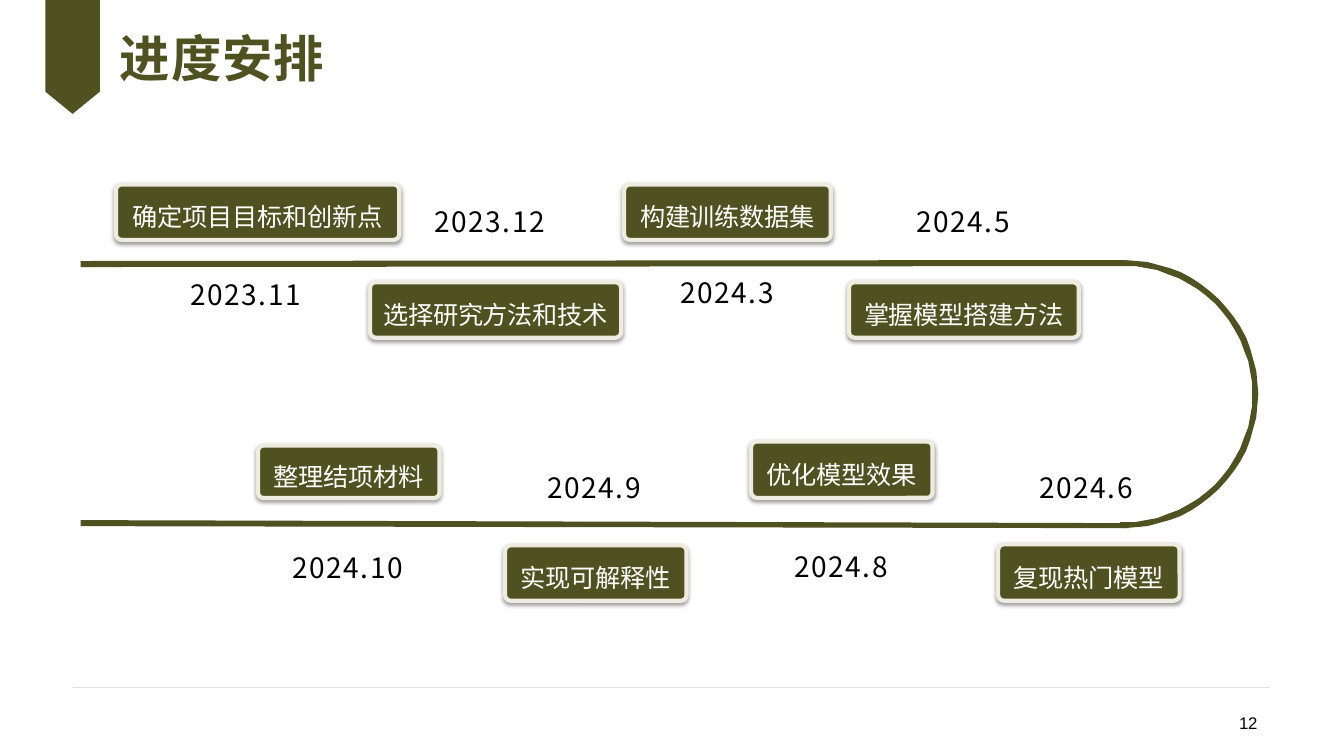
import math

import lxml.etree
import pptx
import pptx.dml.color
import pptx.enum.shapes
import pptx.enum.text
import pptx.oxml.ns
import pptx.util

RGBColor = pptx.dml.color.RGBColor
ALIGN = pptx.enum.text.PP_ALIGN
ANCHOR = pptx.enum.text.MSO_ANCHOR
qn = pptx.oxml.ns.qn

OLIVE = RGBColor(0x50, 0x51, 0x21)
CREAM = RGBColor(0xEE, 0xEC, 0xE1)
WHITE = RGBColor(0xFF, 0xFF, 0xFF)
BLACK = RGBColor(0x00, 0x00, 0x00)
RULE_GREY = RGBColor(0xE0, 0xE0, 0xE0)
CJK = "Noto Sans CJK SC"
PX = 9144  # 100 px to the inch

# Content: date, (left, top, width); task, (left, top, width, height)
TITLE = "进度安排"
PAGE = "12"
MILESTONES = [
    ("2023.11", (188, 273, 125), "确定项目目标和创新点", (115, 183, 281, 55)),
    ("2023.12", (430, 201, 117), "选择研究方法和技术", (367, 280, 249, 55)),
    ("2024.3", (674, 271, 97), "构建训练数据集", (619, 183, 205, 55)),
    ("2024.5", (908, 201, 97), "掌握模型搭建方法", (842, 280, 228, 55)),
    ("2024.6", (1030, 465, 97), "复现热门模型", (990, 540, 180, 56)),
    ("2024.8", (787, 543, 97), "优化模型效果", (745, 438, 180, 56)),
    ("2024.9", (542, 465, 97), "实现可解释性", (501, 541, 180, 55)),
    ("2024.10", (289, 544, 116), "整理结项材料", (256, 442, 180, 52)),
]
DATE_HEIGHT = 35
BADGE = [(72, 113), (45, 91), (45, 0), (99, 0), (99, 91)]
LOWER_TRACK = [(1120, 524), (80, 522), (80, 516), (1120, 519)]
BEND_CENTER, BEND_OUTER, BEND_INNER = (1115, 391), 133, 127


def emu(*lengths):
    return [round(v * PX) for v in lengths]


def write(tf, text, size, color, spacing, name=CJK, bold=False, align=ALIGN.LEFT):
    p = tf.paragraphs[0]
    p.text = text
    p.alignment = align
    p.space_before = pptx.util.Pt(0)
    f = p.font
    f.size, f.bold, f.name = pptx.util.Pt(size), bold, name
    f.color.rgb = color
    # Letter spacing and East Asian typeface
    props = p._p.get_or_add_pPr().find(qn("a:defRPr"))
    props.set("spc", str(spacing))
    lxml.etree.SubElement(props, qn("a:ea"), typeface=name)
    return p


def fit_frame(tf, top=2, left=1):
    tf.word_wrap = True
    tf.auto_size = pptx.enum.text.MSO_AUTO_SIZE.SHAPE_TO_FIT_TEXT
    tf.vertical_anchor = ANCHOR.TOP
    tf.margin_left, tf.margin_top, tf.margin_right, tf.margin_bottom = emu(left, top, 0, 0)


def add_label(slide, box, text, size, spacing, name=CJK, top=2, left=1):
    tf = slide.shapes.add_textbox(*emu(*box)).text_frame
    fit_frame(tf, top, left)
    write(tf, text, size, BLACK, spacing, name)


def add_outline(slide, points):
    fb = slide.shapes.build_freeform(*points[0], scale=PX)
    fb.add_line_segments(points[1:], close=True)
    sp = fb.convert_to_shape()
    sp.shadow.inherit = False
    sp.fill.solid()
    sp.fill.fore_color.rgb = OLIVE
    sp.line.fill.background()


def bend(radius):
    cx, cy = BEND_CENTER
    angles = [math.radians(a) for a in range(-90, 91, 5)]
    return [(cx + radius * math.cos(a), cy + radius * math.sin(a)) for a in angles]


def add_task(slide, text, box):
    sp = slide.shapes.add_shape(pptx.enum.shapes.MSO_SHAPE.ROUNDED_RECTANGLE, *emu(*box))
    sp.adjustments[0] = 0.1
    sp.fill.solid()
    sp.fill.fore_color.rgb = OLIVE
    sp.line.color.rgb = CREAM
    sp.line.width = pptx.util.Pt(3)
    # Soft shadow straight below
    sp.shadow.inherit = False
    effects = sp._element.spPr.find(qn("a:effectLst"))
    shadow = lxml.etree.SubElement(
        effects, qn("a:outerShdw"), blurRad=str(pptx.util.Pt(3.1)),
        dist=str(pptx.util.Pt(1.6)), dir="5400000", rotWithShape="0")
    color = lxml.etree.SubElement(shadow, qn("a:srgbClr"), val="000000")
    lxml.etree.SubElement(color, qn("a:alpha"), val="38000")
    tf = sp.text_frame
    tf.word_wrap = True
    tf.vertical_anchor = ANCHOR.MIDDLE
    p = write(tf, text, 18, WHITE, -20, align=ALIGN.CENTER)
    p.line_spacing = 1.3


def main():
    prs = pptx.Presentation()
    prs.slide_width, prs.slide_height = emu(1333, 750)
    slide = prs.slides.add_slide(prs.slide_layouts[5])

    # Title and badge
    title = slide.shapes.title
    title.left, title.top, title.width, title.height = emu(118, 25, 766, 63)
    fit_frame(title.text_frame)
    write(title.text_frame, TITLE, 36, OLIVE, 50, bold=True)
    add_outline(slide, BADGE)

    # Footer rule and page number
    rule = slide.shapes.add_connector(
        pptx.enum.shapes.MSO_CONNECTOR.STRAIGHT, *emu(72, 682, 1260, 682))
    rule.line.color.rgb = RULE_GREY
    rule.line.width = pptx.util.Pt(0.75)
    lxml.etree.SubElement(rule._element.spPr, qn("a:effectLst"))
    add_label(slide, (1222, 702, 31, 25), PAGE, 12, -20, "Arial", top=5, left=7)

    # Timeline track: lower straight, then upper straight with the bend
    add_outline(slide, LOWER_TRACK)
    add_outline(slide, [(80, 265), (80, 259)] + bend(BEND_OUTER)
                + [(1111, 523), (1111, 518)] + bend(BEND_INNER)[::-1])

    # Milestones
    for date, place, task, box in MILESTONES:
        add_label(slide, (*place, DATE_HEIGHT), date, 20, 110)
        add_task(slide, task, box)

    prs.save("out.pptx")


if __name__ == "__main__":
    main()
